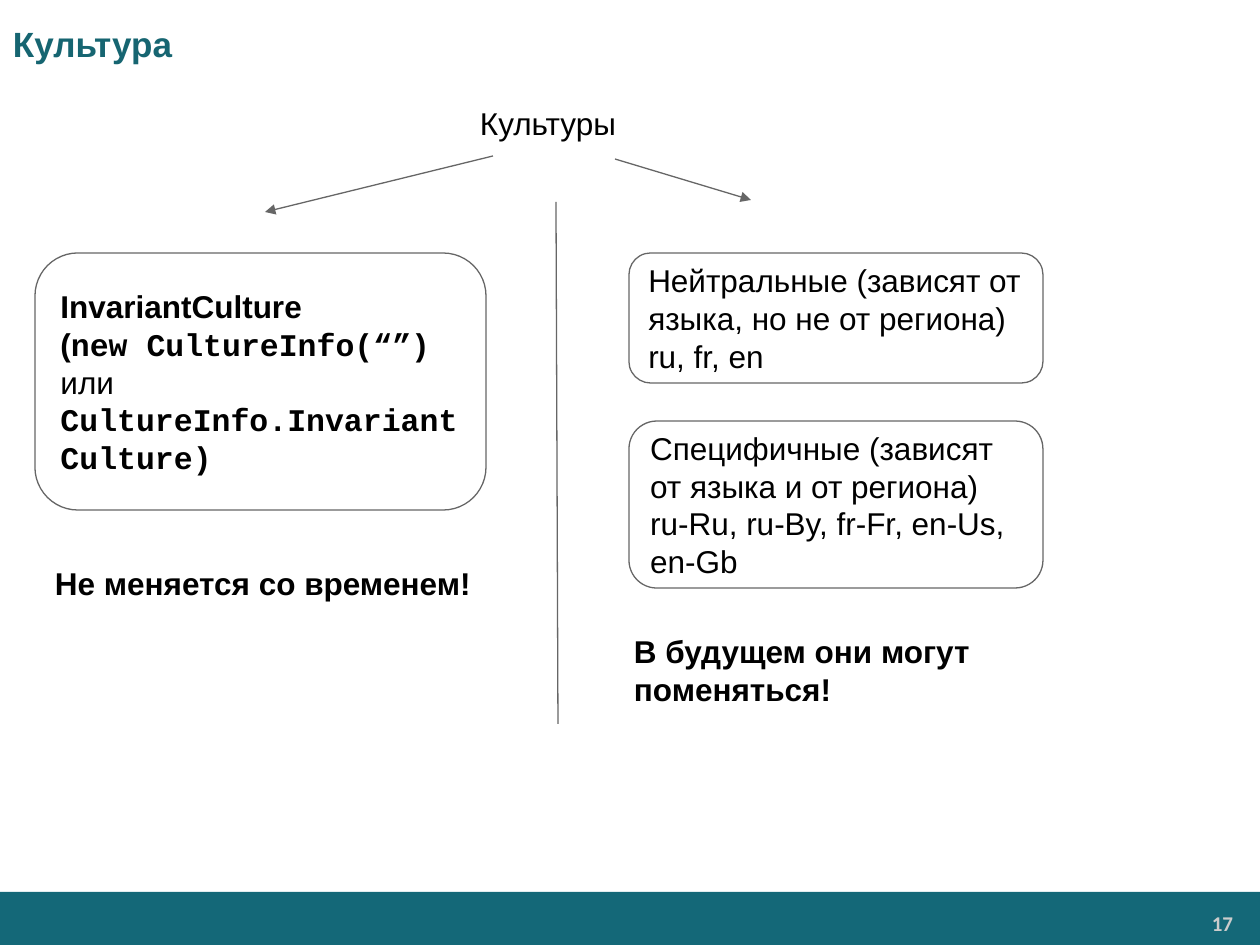
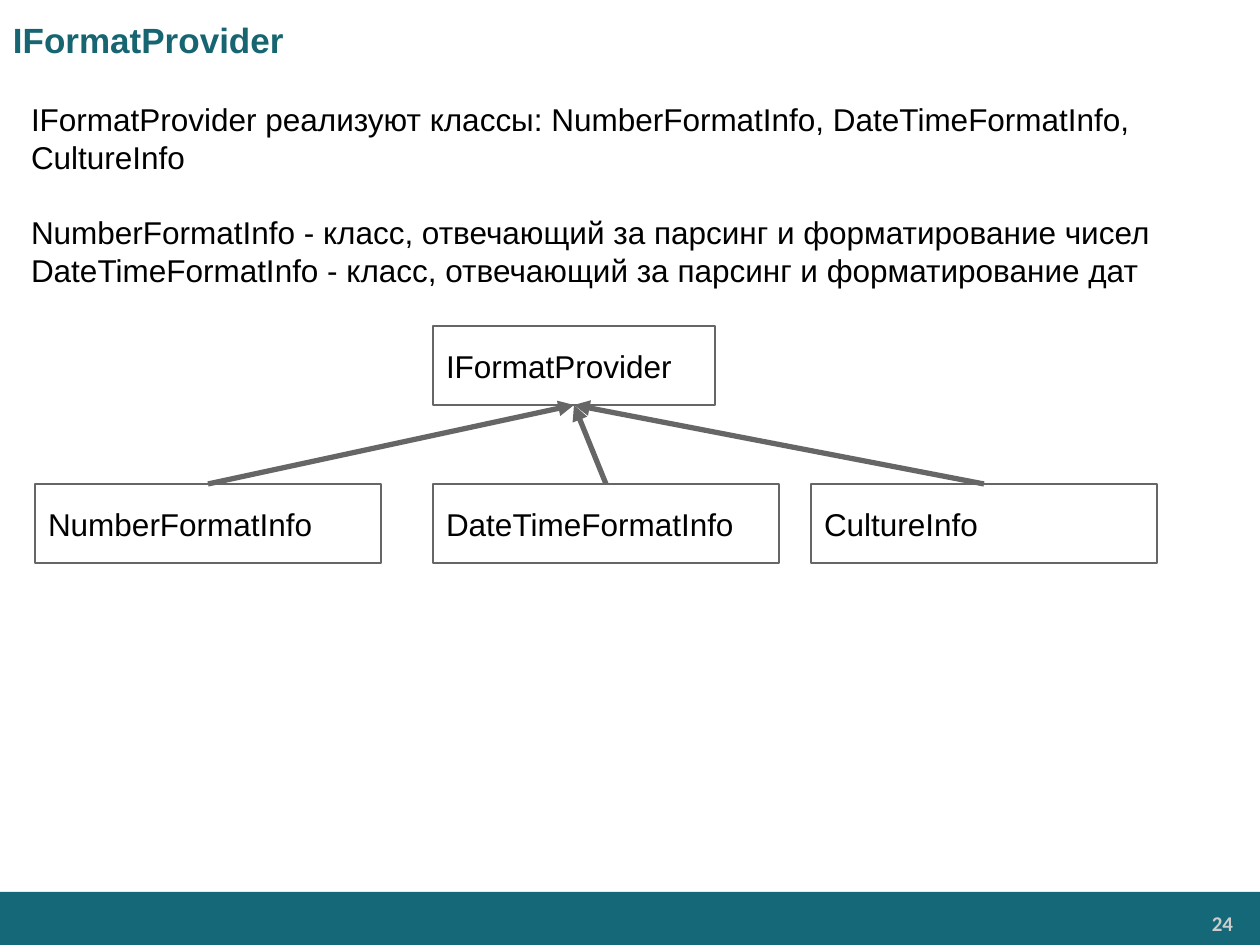
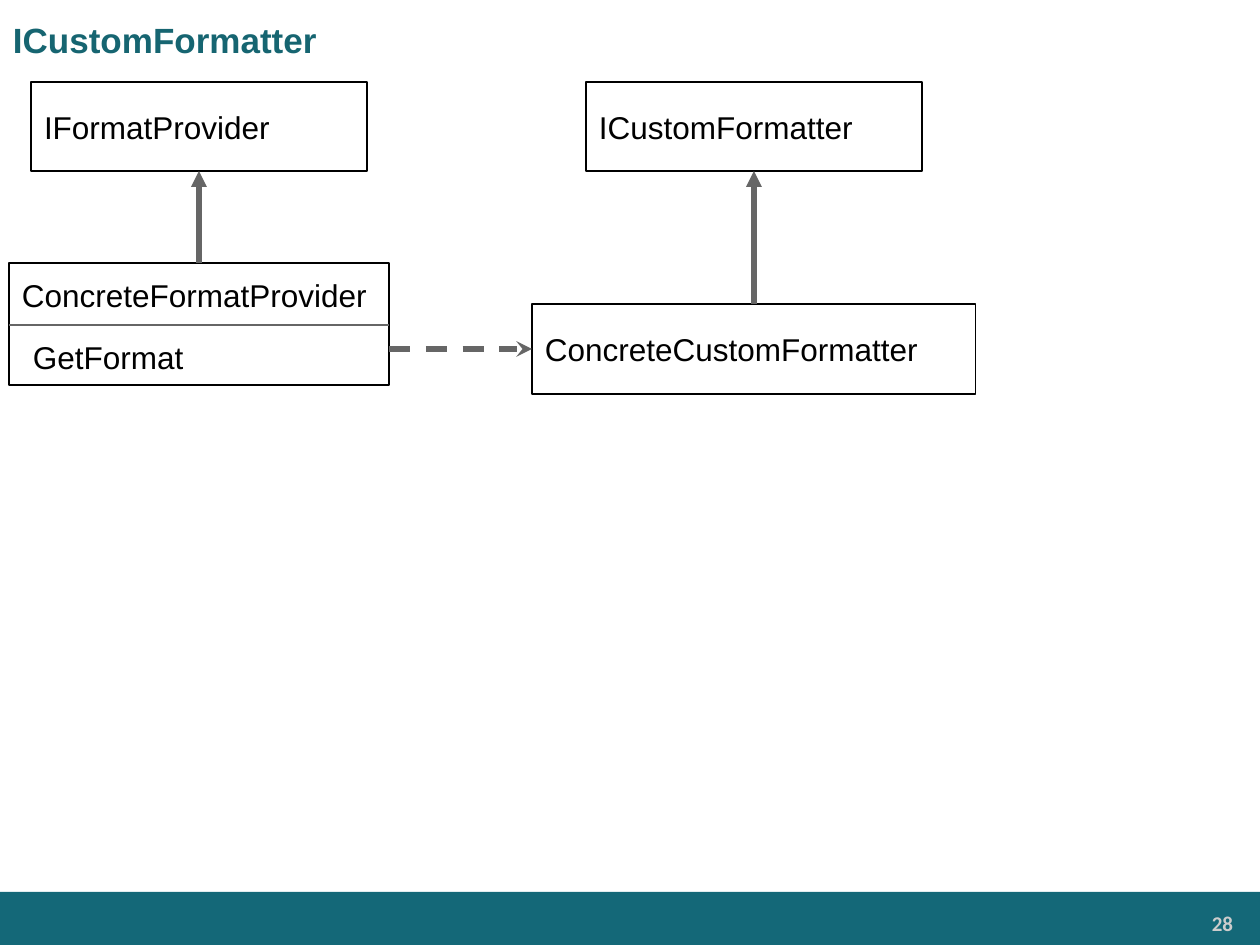
from lxml.etree import SubElement
from pptx import Presentation
from pptx.dml.color import RGBColor
from pptx.enum.dml import MSO_LINE
from pptx.enum.shapes import MSO_CONNECTOR, MSO_SHAPE
from pptx.enum.text import MSO_ANCHOR, PP_ALIGN
from pptx.oxml.ns import qn
from pptx.util import Pt

EMU_PER_PX = 914400 / 126
WIDTH, HEIGHT = 1260, 945
BAND_TOP = 892
TEAL, TITLE_TEAL = "146878", "166571"
GRAY, LIGHT_GRAY = "666666", "CCCCCC"
BLACK, WHITE = "000000", "FFFFFF"
TOP, LEFT, BOTTOM = 0, 1, 2


def px(*lengths):
    return [round(length * EMU_PER_PX) for length in lengths]


def color(value):
    return RGBColor.from_string(value)


def run(text, bold=False, font="Arial", size=18, fill=BLACK):
    return text, bold, font, size, fill


def code(text):
    return run(text, bold=True, font="Courier New")


class Deck:
    def __init__(self):
        self.presentation = Presentation()
        self.presentation.slide_width, self.presentation.slide_height = px(WIDTH, HEIGHT)
        self.slide = None

    def new_slide(self, title, number, title_top=0):
        self.slide = self.presentation.slides.add_slide(self.presentation.slide_layouts[6])
        self.box((0, BAND_TOP, WIDTH, HEIGHT - BAND_TOP), fill=TEAL, line=None)
        self.text((1037, 906, 205, 35), [[run(number, True, "Calibri", 12, LIGHT_GRAY)]],
                  insets=(9, 5), align=PP_ALIGN.RIGHT)
        self.text((0, title_top, WIDTH, 79), [[run(title, True, size=20, fill=TITLE_TEAL)]],
                  insets=(13, 6), anchor=MSO_ANCHOR.MIDDLE)

    def fill_text(self, shape, paragraphs, insets=(13, 13), anchor=MSO_ANCHOR.TOP,
                  align=PP_ALIGN.LEFT):
        frame = shape.text_frame
        frame.word_wrap = True
        frame.vertical_anchor = anchor
        frame.margin_left, frame.margin_top = px(*insets)
        frame.margin_right, frame.margin_bottom = px(*insets)
        for index, runs in enumerate(paragraphs):
            paragraph = frame.add_paragraph() if index else frame.paragraphs[0]
            paragraph.alignment = align
            for text, bold, font, size, fill in runs:
                if text == "\n":
                    paragraph.add_line_break()
                    continue
                part = paragraph.add_run()
                part.text = text
                part.font.name = font
                part.font.size = Pt(size)
                part.font.bold = bold
                part.font.color.rgb = color(fill)

    def text(self, area, paragraphs, **style):
        shape = self.slide.shapes.add_textbox(*px(*area))
        self.fill_text(shape, paragraphs, **style)
        return shape

    def box(self, area, paragraphs=(), kind=MSO_SHAPE.RECTANGLE, fill=WHITE, line=GRAY,
            anchor=MSO_ANCHOR.MIDDLE):
        shape = self.slide.shapes.add_shape(kind, *px(*area))
        shape.shadow.inherit = False
        shape.fill.solid()
        shape.fill.fore_color.rgb = color(fill)
        if line:
            shape.line.color.rgb = color(line)
            shape.line.width = Pt(0.75)
        else:
            shape.line.fill.background()
        self.fill_text(shape, paragraphs, anchor=anchor)
        return shape

    def rounded(self, area, paragraphs):
        return self.box(area, paragraphs, MSO_SHAPE.ROUNDED_RECTANGLE)

    def line(self, start, end, width=0.75, head=None, dash=None, source=None, target=None):
        connector = self.slide.shapes.add_connector(
            MSO_CONNECTOR.STRAIGHT, *px(*start, *end))
        if source:
            connector.begin_connect(*source)
        if target:
            connector.end_connect(*target)
        connector.line.color.rgb = color(GRAY)
        connector.line.width = Pt(width)
        if dash:
            connector.line.dash_style = dash
        properties = connector._element.spPr
        if head:
            SubElement(properties.find(qn("a:ln")), qn("a:tailEnd"), type=head)
        SubElement(properties, qn("a:effectLst"))

    def inherit(self, child, parent):
        self.line((0, 0), (0, 0), 3, "triangle", source=(child, TOP), target=(parent, BOTTOM))


def culture_slide(deck):
    deck.new_slide("Культура", "17", title_top=4)
    deck.line((556, 202), (558, 724))
    deck.rounded((35, 253, 451, 257), [
        [run("InvariantCulture", True), run("\n"), run("(", True), code("new CultureInfo(“”)")],
        [run("или")],
        [code("CultureInfo.InvariantCulture)")],
    ])
    deck.text((467, 91, 296, 68), [[run("Культуры")]])
    deck.rounded((629, 253, 414, 130), [
        [run("Нейтральные (зависят от языка, но не от региона)")],
        [run("ru, fr, en")],
    ])
    deck.rounded((629, 421, 414, 167), [
        [run("Специфичные (зависят от языка и от региона)")],
        [run("ru-Ru, ru-By, fr-Fr, en-Us, en-Gb")],
    ])
    deck.line((493, 156), (265, 212), head="triangle")
    deck.line((615, 159), (751, 200), head="triangle")
    deck.text((42, 551, 451, 111), [[run("Не меняется со временем!", True)]])
    deck.text((621, 619, 469, 156), [[run("В будущем они могут поменяться!", True)]])


def format_provider_slide(deck):
    deck.new_slide("IFormatProvider", "24")
    provider = deck.box((433, 326, 282, 79), [[run("IFormatProvider")]])
    classes = [("NumberFormatInfo", 35), ("DateTimeFormatInfo", 433), ("CultureInfo", 811)]
    boxes = [deck.box((left, 484, 346, 79), [[run(name)]]) for name, left in classes]
    for box in boxes:
        deck.inherit(box, provider)
    body = deck.text((18, 87, 1242, 214), [
        [run("IFormatProvider реализуют классы: NumberFormatInfo, DateTimeFormatInfo, CultureInfo")],
        [run("NumberFormatInfo - класс, отвечающий за парсинг и форматирование чисел")],
        [run("DateTimeFormatInfo - класс, отвечающий за парсинг и форматирование дат")],
    ])
    body.text_frame.paragraphs[1].space_before = Pt(21.5)


def custom_formatter_slide(deck):
    deck.new_slide("ICustomFormatter", "28")
    provider, formatter = [
        deck.box((left, 82, 336, 89), [[run(name)]], line=BLACK)
        for name, left in [("IFormatProvider", 31), ("ICustomFormatter", 586)]
    ]
    concrete_provider = deck.box((9, 263, 380, 122), [[run("ConcreteFormatProvider")]],
                                 line=BLACK, anchor=MSO_ANCHOR.TOP)
    deck.inherit(concrete_provider, provider)
    deck.line((9, 325), (389, 325))
    deck.text((20, 325, 368, 48), [[run("GetFormat")]])
    concrete_formatter = deck.box((532, 304, 444, 90), [[run("ConcreteCustomFormatter")]],
                                  line=BLACK)
    deck.line((389, 349), (532, 349), 3, "stealth", MSO_LINE.DASH,
              target=(concrete_formatter, LEFT))
    deck.inherit(concrete_formatter, formatter)


def main():
    deck = Deck()
    culture_slide(deck)
    format_provider_slide(deck)
    custom_formatter_slide(deck)
    deck.presentation.save("out.pptx")


if __name__ == "__main__":
    main()
